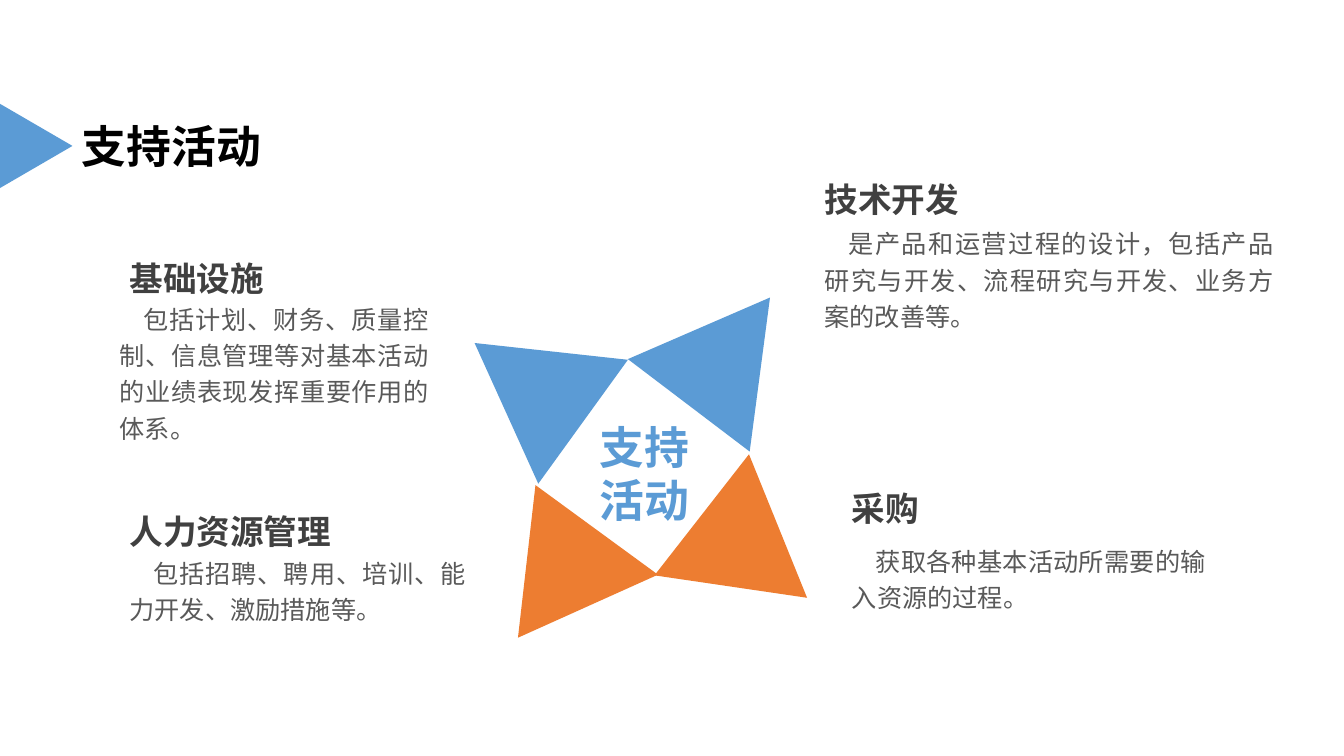
import pptx
import pptx.util
import pptx.dml.color
import pptx.enum.shapes
import pptx.enum.text
import pptx.oxml.ns
from lxml import etree

Pt = pptx.util.Pt
ALIGN = pptx.enum.text.PP_ALIGN
FONT = "Noto Sans CJK SC"
COLORS = {
    "blue": "5B9BD5",
    "orange": "ED7D31",
    "title": "000000",
    "heading": "404040",
    "body": "595959",
}

prs = pptx.Presentation()
prs.slide_width = Pt(960)
prs.slide_height = Pt(540)
s = prs.slides.add_slide(prs.slide_layouts[6])


def paint(sp, color):
    sp.shadow.inherit = False
    sp.fill.solid()
    sp.fill.fore_color.rgb = pptx.dml.color.RGBColor.from_string(COLORS[color])
    sp.line.fill.background()


def add_text(text, box, size, color, bold=True, align=ALIGN.LEFT, wrap=True):
    sp = s.shapes.add_textbox(*[Pt(v) for v in box])
    tf = sp.text_frame
    tf.word_wrap = wrap
    tf.margin_left = tf.margin_right = tf.margin_top = tf.margin_bottom = 0
    tf.text = text
    p = tf.paragraphs[0]
    p.alignment = align
    r = p.runs[0]
    r.font.size = Pt(size)
    r.font.bold = bold
    r.font.name = FONT
    r.font.color.rgb = pptx.dml.color.RGBColor.from_string(COLORS[color])
    ea = etree.SubElement(r.font._element, pptx.oxml.ns.qn("a:ea"))
    ea.set("typeface", FONT)
    return p


add_text("支持活动", (58.5, 85, 130, 38), 32, "title", wrap=False)

marker = s.shapes.add_shape(
    pptx.enum.shapes.MSO_SHAPE.ISOSCELES_TRIANGLE, Pt(-5), Pt(78), Pt(61), Pt(52.5))
marker.rotation = 90
paint(marker, "blue")

blades = [
    ("blue", [(448.5, 257), (339, 245), (384.5, 345.5)]),
    ("orange", [(382.5, 346.5), (370, 455.5), (470, 410.5)]),
    ("orange", [(467.5, 411), (576.5, 427), (535, 324.5)]),
    ("blue", [(535.5, 322.5), (550, 212.5), (448.5, 256.5)]),
]
for color, points in blades:
    start, *rest = [(Pt(x), Pt(y)) for x, y in points]
    builder = s.shapes.build_freeform(*start)
    builder.add_line_segments(rest, close=True)
    paint(builder.convert_to_shape(), color)

topics = [
    ("技术开发", (589, 128, 132, 29),
     "是产品和运营过程的设计，包括产品研究与开发、流程研究与开发、业务方案的改善等。",
     (589, 159, 321, 78)),
    ("采购", (608.5, 348.5, 132, 29),
     "获取各种基本活动所需要的输入资源的过程。",
     (608.5, 386, 253, 52)),
    ("人力资源管理", (92.5, 365, 154, 29),
     "包括招聘、聘用、培训、能力开发、激励措施等。",
     (92.5, 394.5, 240.5, 52)),
    ("基础设施", (92.5, 184, 114, 29),
     "包括计划、财务、质量控制、信息管理等对基本活动的业绩表现发挥重要作用的体系。",
     (85.5, 213, 221, 104)),
]
for heading, heading_box, body, body_box in topics:
    add_text(heading, heading_box, 24, "heading")
    p = add_text(body, body_box, 18, "body", bold=False, align=ALIGN.JUSTIFY)
    p.line_spacing = 1.2
    p._p.get_or_add_pPr().set("indent", str(Pt(17)))

add_text("支持活动", (425, 299.5, 71, 78), 32, "blue", align=ALIGN.CENTER)

prs.save("out.pptx")
